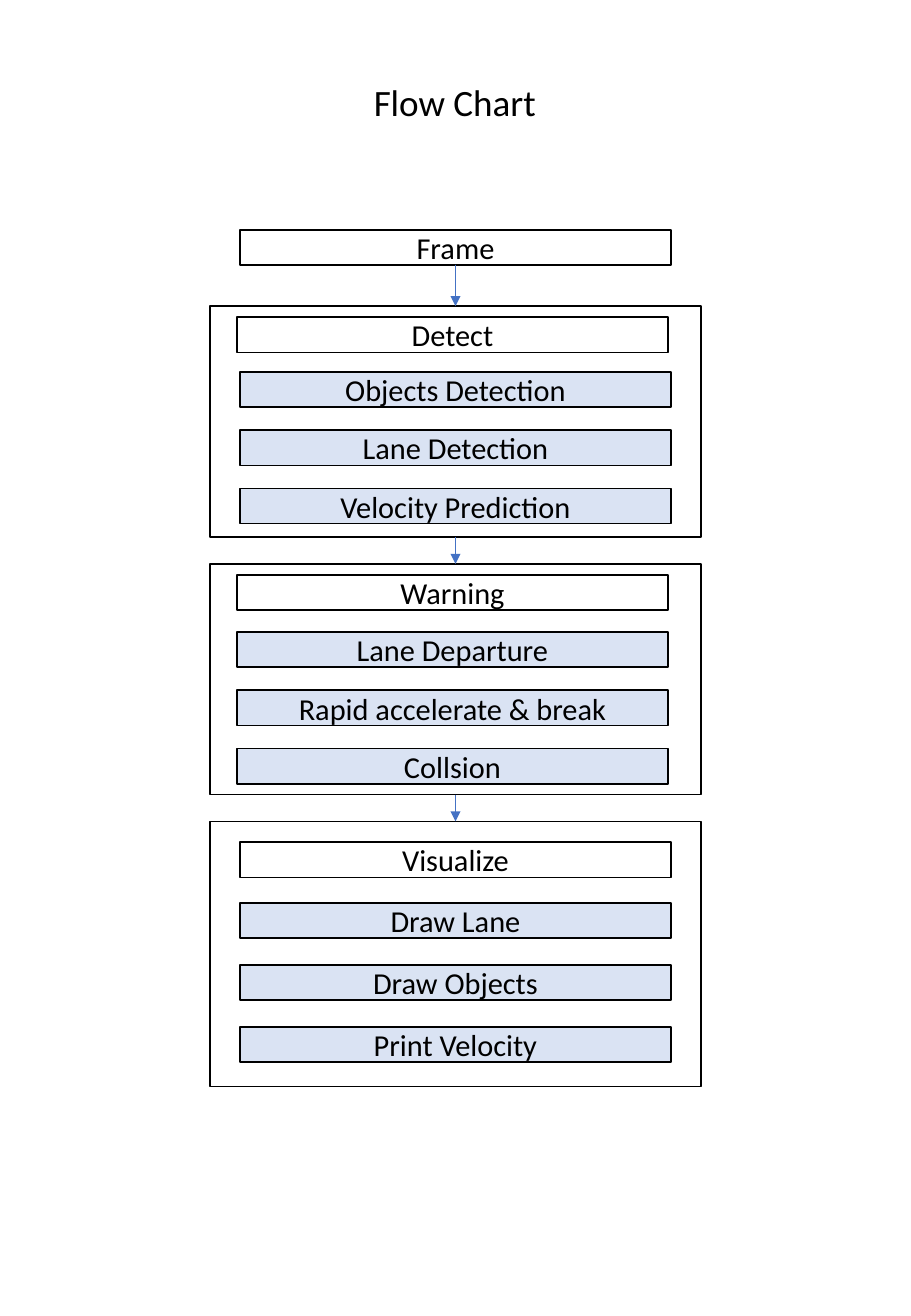
from lxml.etree import SubElement
from pptx import Presentation
from pptx.dml.color import RGBColor
from pptx.enum.shapes import MSO_CONNECTOR, MSO_SHAPE
from pptx.enum.text import MSO_ANCHOR, MSO_AUTO_SIZE, PP_ALIGN
from pptx.oxml.ns import qn
from pptx.util import Pt

COLORS = {"ink": "000000", "paper": "FFFFFF", "step": "DAE3F3", "arrow": "4472C4"}
BOX_WIDTH, BOX_HEIGHT = 255.6, 20.9
BOX_LEFT, SHIFTED_LEFT = 142.2, 140.4
STAGE_LEFT, STAGE_WIDTH = 124.5, 291
TOP, BOTTOM = 0, 2

STAGES = [
    (181.4, 136.8, ("Detect", SHIFTED_LEFT, 187.9), BOX_LEFT, 220.3, 34.55,
     ["Objects Detection", "Lane Detection", "Velocity Prediction"]),
    (334.1, 136.8, ("Warning", SHIFTED_LEFT, 340.6), SHIFTED_LEFT, 374.4, 34.55,
     ["Lane Departure", "Rapid accelerate & break", "Collsion"]),
    (486.7, 157, ("Visualize", BOX_LEFT, 499), BOX_LEFT, 535, 36.7,
     ["Draw Lane", "Draw Objects", "Print Velocity"]),
]


class FlowChart:
    font = "Calibri"

    def __init__(self, slide):
        self.slide = slide

    def color(self, name):
        return RGBColor.from_string(COLORS[name])

    def label(self, frame, text, size):
        frame.text = text
        paragraph = frame.paragraphs[0]
        paragraph.alignment = PP_ALIGN.CENTER
        for run in paragraph.runs:
            run.font.name = self.font
            run.font.size = Pt(size)
            run.font.color.rgb = self.color("ink")

    def title(self, text, left, top, width, height):
        heading = self.slide.shapes.title
        heading.left, heading.top = Pt(left), Pt(top)
        heading.width, heading.height = Pt(width), Pt(height)
        frame = heading.text_frame
        frame.word_wrap = False
        frame.auto_size = MSO_AUTO_SIZE.SHAPE_TO_FIT_TEXT
        frame.vertical_anchor = MSO_ANCHOR.TOP
        self.label(frame, text, 22)

    def box(self, left, top, width=BOX_WIDTH, height=BOX_HEIGHT, text="", fill="paper"):
        box = self.slide.shapes.add_shape(
            MSO_SHAPE.RECTANGLE, Pt(left), Pt(top), Pt(width), Pt(height))
        box.shadow.inherit = False
        box.fill.solid()
        box.fill.fore_color.rgb = self.color(fill)
        box.line.color.rgb = self.color("ink")
        box.line.width = Pt(1)
        if text:
            box.text_frame.vertical_anchor = MSO_ANCHOR.MIDDLE
            self.label(box.text_frame, text, 18)
        return box

    def arrow(self, upper, lower):
        arrow = self.slide.shapes.add_connector(MSO_CONNECTOR.STRAIGHT, 0, 0, 0, 0)
        arrow.begin_connect(upper, BOTTOM)
        arrow.end_connect(lower, TOP)
        arrow.line.color.rgb = self.color("arrow")
        arrow.line.width = Pt(0.5)
        properties = arrow.line._get_or_add_ln()
        SubElement(properties, qn("a:tailEnd"), type="triangle")
        SubElement(properties.getparent(), qn("a:effectLst"))


def main():
    deck = Presentation()
    deck.slide_width, deck.slide_height = Pt(540), Pt(779.76)
    chart = FlowChart(deck.slides.add_slide(deck.slide_layouts[5]))
    chart.title("Flow Chart", 213.8, 43.2, 111.6, 33.8)
    previous = chart.box(BOX_LEFT, 136.1, text="Frame")
    for top, height, (name, name_left, name_top), left, first, pitch, steps in STAGES:
        stage = chart.box(STAGE_LEFT, top, STAGE_WIDTH, height)
        chart.box(name_left, name_top, text=name)
        for row, step in enumerate(steps):
            chart.box(left, first + row * pitch, text=step, fill="step")
        chart.arrow(previous, stage)
        previous = stage
    deck.save("out.pptx")


if __name__ == "__main__":
    main()
